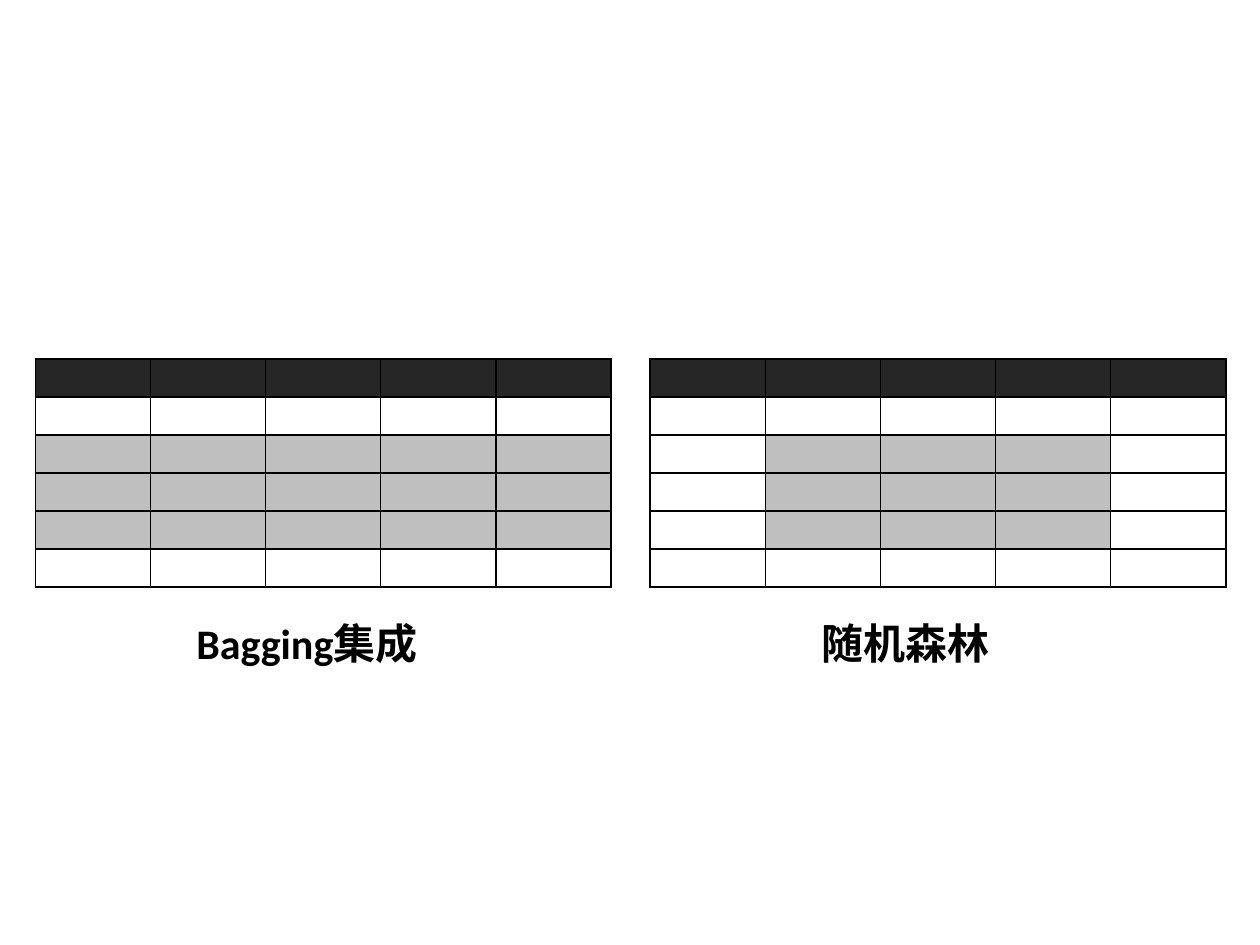
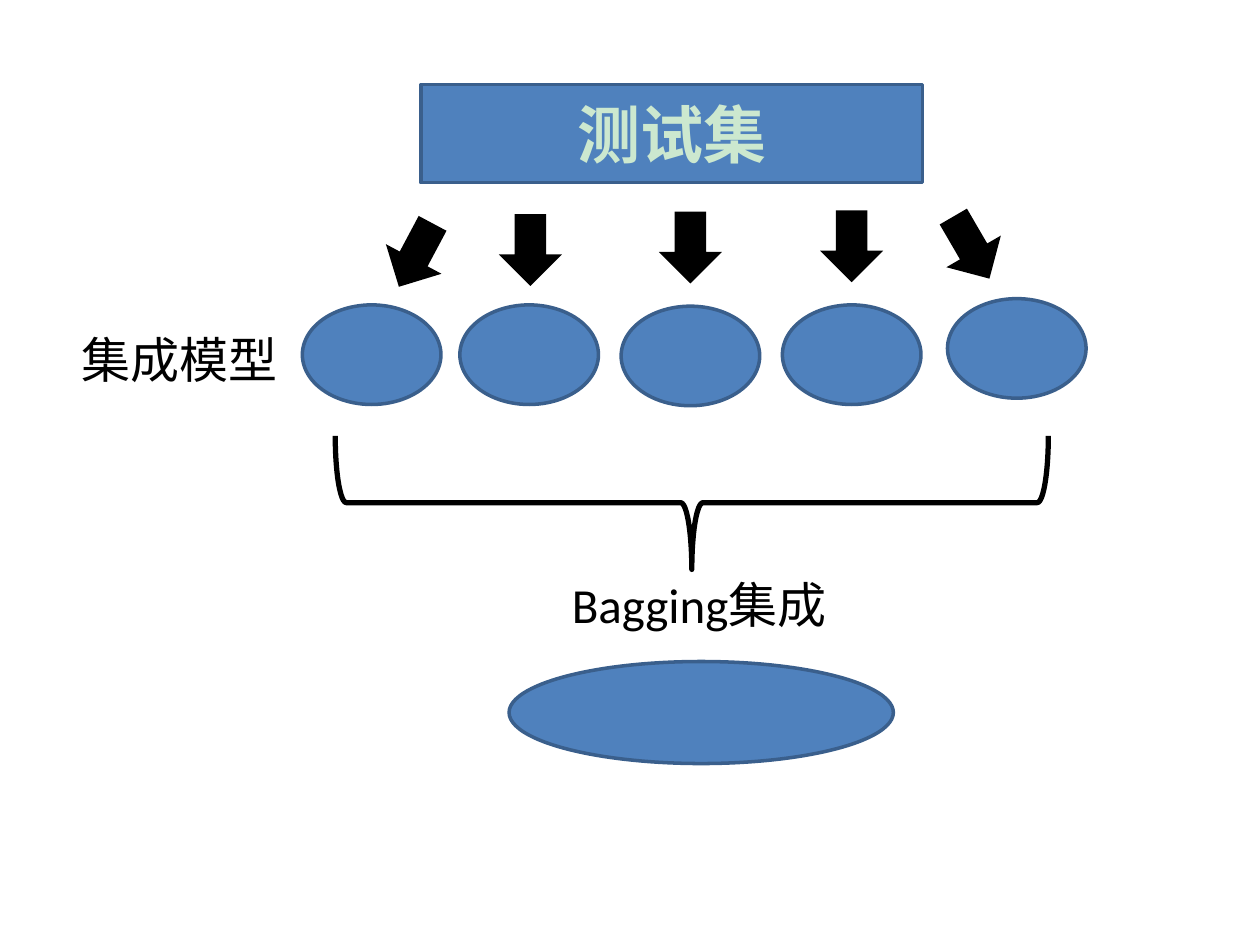
"""Two slides that compare bagging with a random forest."""
from dataclasses import dataclass

from lxml import etree
from pptx import Presentation, util as u
from pptx.dml.color import RGBColor
from pptx.enum import shapes, text
from pptx.oxml import ns


@dataclass(frozen=True)
class Theme:
    """Colours, type and line sizes shared by the slides."""
    paper: str = "FFFFFF"
    ink: str = "000000"
    header: str = "262626"
    sample: str = "BFBFBF"
    blue: str = "4F81BD"
    edge: str = "3A5F8C"
    pale: str = "CCE8CF"
    font: str = "Calibri"
    title: int = 36
    label: int = 28
    caption: int = 24
    cell: int = 10
    outline: int = 2
    brace: int = 3
    grid: int = 1


THEME = Theme()
SHAPE = shapes.MSO_SHAPE
COLUMNS, ROWS = 100, 75  # square units over the whole slide
WIDTH, HEIGHT = u.Inches(10), u.Inches(7.5)


def place(left, top, width, height):
    """Turn grid units into a position and a size."""
    across, down = WIDTH / COLUMNS, HEIGHT / ROWS
    return (round(left * across), round(top * down),
            round(width * across), round(height * down))


def colour(code):
    """Turn a hex code into a colour."""
    return RGBColor.from_string(code)


def add_page(deck):
    """Add a blank page with the shared background."""
    page = deck.slides.add_slide(deck.slide_layouts[6])
    page.background.fill.solid()
    page.background.fill.fore_color.rgb = colour(THEME.paper)
    return page


def write(box, words, size, ink=THEME.ink, bold=False):
    """Write one paragraph into a box and return it."""
    box.text_frame.word_wrap = True
    para = box.text_frame.paragraphs[0]
    para.text = words
    font = para.font
    font.name, font.size, font.bold = THEME.font, u.Pt(size), bold
    font.color.rgb = colour(ink)
    return para


def add_label(page, area, words, size, bold=False):
    """Add a text box with one line."""
    write(page.shapes.add_textbox(*place(*area)), words, size, bold=bold)


def add_figure(page, kind, area, fill=None, line=None, weight=THEME.outline, turn=0):
    """Add a preset shape with an optional fill, line and rotation."""
    figure = page.shapes.add_shape(kind, *place(*area))
    figure.shadow.inherit = False
    figure.rotation = turn
    for paint, code in ((figure.fill, fill), (figure.line.fill, line)):
        if code:
            paint.solid()
            paint.fore_color.rgb = colour(code)
        else:
            paint.background()
    if line:
        figure.line.width = u.Pt(weight)
    return figure


def add_model(page, area, kind=SHAPE.OVAL):
    """Add a blue outlined shape, an ellipse unless told otherwise."""
    return add_figure(page, kind, area, THEME.blue, THEME.edge)


def add_borders(cell):
    """Draw the four borders of a cell ahead of its fill."""
    properties = cell._tc.get_or_add_tcPr()
    for index, side in enumerate(("lnL", "lnR", "lnT", "lnB")):
        border = etree.Element(ns.qn("a:" + side), w=str(u.Pt(THEME.grid)))
        fill = etree.SubElement(border, ns.qn("a:solidFill"))
        etree.SubElement(fill, ns.qn("a:srgbClr"), val=THEME.ink)
        properties.insert(index, border)


def add_data_grid(page, left, chosen_columns, rows=6, columns=5):
    """Add an empty data table that marks the sampled rows and columns."""
    area = place(left, 28.5, 45.7, 18.1)
    table = page.shapes.add_table(rows, columns, *area).table
    table.first_row = table.horz_banding = False
    for row in range(rows):
        for column in range(columns):
            cell = table.cell(row, column)
            sampled = row in range(2, 5) and column in chosen_columns
            code = THEME.sample if sampled else THEME.paper
            cell.fill.solid()
            cell.fill.fore_color.rgb = colour(THEME.header if row == 0 else code)
            cell.margin_top = cell.margin_bottom = 0
            para = cell.text_frame.paragraphs[0]
            etree.SubElement(para._p, ns.qn("a:endParaRPr"), sz=str(THEME.cell * 100))
            add_borders(cell)


def build_sampling(deck):
    """Compare sampled rows with sampled rows and columns."""
    page = add_page(deck)
    add_data_grid(page, 2.8, range(5))
    add_data_grid(page, 51.6, range(1, 4))
    add_label(page, (14.6, 48.5, 34, 5), "Bagging集成", THEME.caption, bold=True)
    add_label(page, (64.2, 48.5, 35, 5), "随机森林", THEME.caption, bold=True)


def build_ensemble(deck):
    """Show the test set passing through five models into one ensemble."""
    page = add_page(deck)
    test_set = add_model(page, (33.4, 6.7, 39.8, 7.8), SHAPE.RECTANGLE)
    test_set.text_frame.vertical_anchor = text.MSO_ANCHOR.MIDDLE
    para = write(test_set, "测试集", THEME.title, THEME.pale, bold=True)
    para.alignment = text.PP_ALIGN.CENTER

    arrows = ((30.5, 17.4, 28), (39.6, 17, 0), (52.3, 16.8, 0),
              (65.1, 16.7, 0), (74.6, 16.8, 329.8))
    models = ((24, 24.2), (36.5, 24.2), (49.3, 24.3), (62.1, 24.2), (75.2, 23.7))
    for left, top, turn in arrows:
        add_figure(page, SHAPE.DOWN_ARROW, (left, top, 5, 5.7), THEME.ink, turn=turn)
    for left, top in models:
        add_model(page, (left, top, 11, 7.9))

    add_label(page, (5.5, 25.7, 18.5, 5.7), "集成模型", THEME.label)
    add_figure(page, SHAPE.RIGHT_BRACE, (49.6, 11.6, 10.6, 56.6),
               line=THEME.ink, weight=THEME.brace, turn=90)
    add_label(page, (44.4, 45.1, 25.7, 5.7), "Bagging集成", THEME.label)
    add_model(page, (40.4, 52.5, 30.5, 8.1))


def main():
    """Build and save the deck."""
    deck = Presentation()
    deck.slide_width, deck.slide_height = WIDTH, HEIGHT
    build_sampling(deck)
    build_ensemble(deck)
    deck.save("out.pptx")


main()
